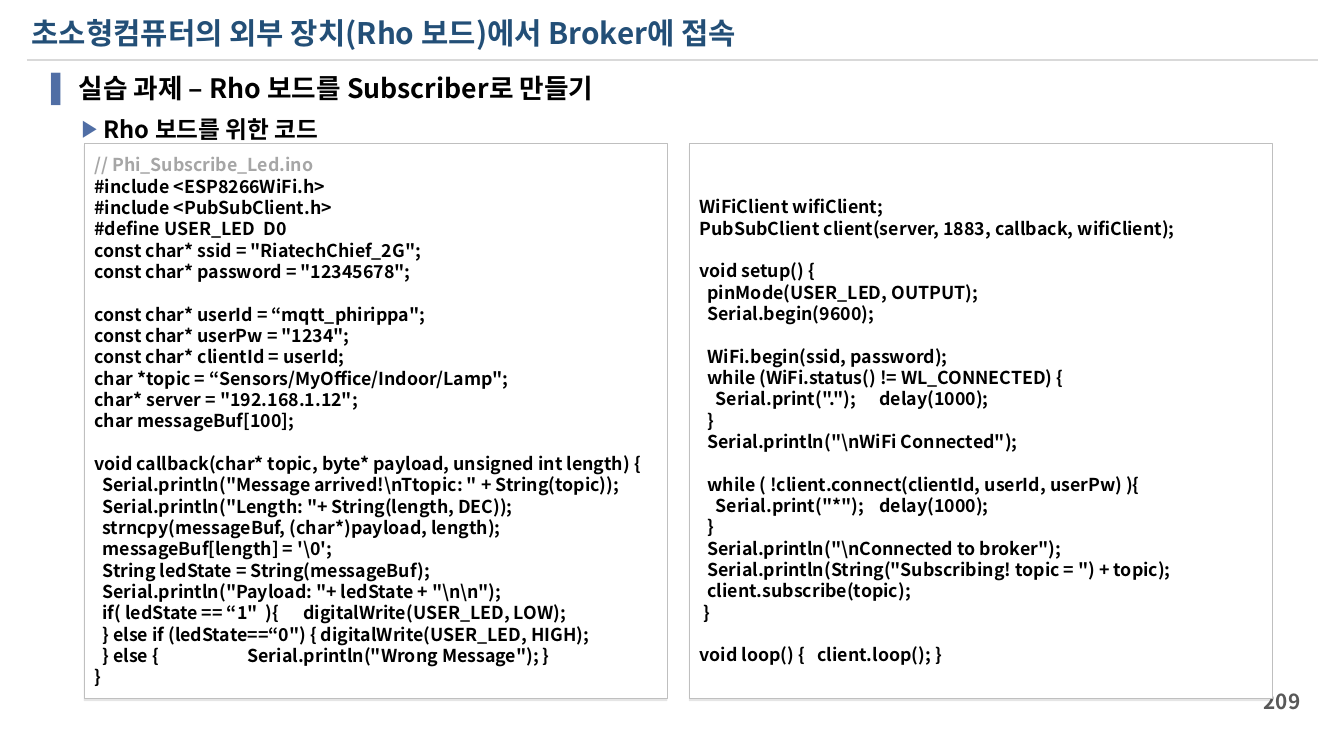
"""Builds the slide on connecting the board to the broker as a subscriber."""
import lxml.etree
import pptx
import pptx.dml.color
import pptx.enum.shapes
import pptx.enum.text
import pptx.oxml.ns
import pptx.util

SCALE = 8572.5
FONT = "Noto Sans CJK KR"
LEAD = 1.2
COLORS = {
    "title": "234F77",
    "text": "000000",
    "mark": "506EA5",
    "note": "A6A6A6",
    "page": "595959",
    "rule": "D9D9D9",
    "edge": "BFBFBF",
    "panel": "FFFFFF",
}
ALIGN = pptx.enum.text.PP_ALIGN
ANCHOR = pptx.enum.text.MSO_ANCHOR

CONFIG = """// Phi_Subscribe_Led.ino
#include <ESP8266WiFi.h>
#include <PubSubClient.h>
#define USER_LED  D0
const char* ssid = "RiatechChief_2G";
const char* password = "12345678";

const char* userId = “mqtt_phirippa";
const char* userPw = "1234";
const char* clientId = userId;
char *topic = “Sensors/MyOffice/Indoor/Lamp";
char* server = "192.168.1.12";
char messageBuf[100];"""

ANSWER = """void callback(char* topic, byte* payload, unsigned int length) {
  Serial.println("Message arrived!\\nTtopic: " + String(topic));
  Serial.println("Length: "+ String(length, DEC));
  strncpy(messageBuf, (char*)payload, length);
  messageBuf[length] = '\\0';
  String ledState = String(messageBuf);
  Serial.println("Payload: "+ ledState + "\\n\\n");
  if( ledState == “1"  ){\tdigitalWrite(USER_LED, LOW);
  } else if (ledState==“0") { digitalWrite(USER_LED, HIGH);
  } else {\tSerial.println("Wrong Message"); }
}"""

CLIENT = """WiFiClient wifiClient;
PubSubClient client(server, 1883, callback, wifiClient);"""

SETUP = """void setup() {
  pinMode(USER_LED, OUTPUT);
  Serial.begin(9600);

  WiFi.begin(ssid, password);
  while (WiFi.status() != WL_CONNECTED) {
    Serial.print(".");\tdelay(1000);
  }
  Serial.println("\\nWiFi Connected");

  while ( !client.connect(clientId, userId, userPw) ){
    Serial.print("*");\tdelay(1000);
  }
  Serial.println("\\nConnected to broker");
  Serial.println(String("Subscribing! topic = ") + topic);
  client.subscribe(topic);
 }"""

LOOP = "void loop() {\tclient.loop(); }"


def px(num):
    """Turn px into EMU."""
    return pptx.util.Emu(round(num * SCALE))


def rgb(key):
    """Give the named colour."""
    return pptx.dml.color.RGBColor.from_string(COLORS[key])


def put(item, vals):
    """Set each attribute in vals on item."""
    for key, val in vals.items():
        setattr(item, key, val)


def place(shape, left, top, width, height):
    """Move and size a shape."""
    spot = {"left": left, "top": top, "width": width, "height": height}
    put(shape, {key: px(val) for key, val in spot.items()})


def node(base, tag, **attrs):
    """Add a drawing element with its attributes."""
    name = pptx.oxml.ns.qn("a:" + tag)
    return lxml.etree.SubElement(base, name, {k: str(v) for k, v in attrs.items()})


def frame(shape, **vals):
    """Set up the text frame of a shape and return it."""
    text = shape.text_frame
    put(text, {
        "word_wrap": True,
        "auto_size": pptx.enum.text.MSO_AUTO_SIZE.NONE,
        "vertical_anchor": ANCHOR.TOP,
        **vals,
    })
    return text


def write(para, words, size, color="text", gap=0, align=ALIGN.LEFT):
    """Fill a paragraph with one bold run."""
    put(para, {
        "alignment": align,
        "line_spacing": pptx.util.Pt(size * LEAD),
        "space_before": pptx.util.Pt(gap),
        "space_after": pptx.util.Pt(0),
    })
    run = para.add_run()
    run.text = words
    put(run.font, {"size": pptx.util.Pt(size), "name": FONT, "bold": True})
    run.font.color.rgb = rgb(color)
    node(run.font._element, "ea", typeface=FONT)


def bullet(para, sign, left, hang):
    """Give a paragraph a coloured bullet and a hanging indent."""
    props = para._p.get_or_add_pPr()
    props.set("marL", str(px(left)))
    props.set("indent", str(px(-hang)))
    node(node(props, "buClr"), "srgbClr", val=COLORS["mark"])
    node(props, "buChar", char=sign)


def tabs(para, stops):
    """Add left tab stops to a paragraph."""
    base = node(para._p.get_or_add_pPr(), "tabLst")
    for stop in stops:
        node(base, "tab", pos=px(stop), algn="l")


def rule(slide, left, right, top):
    """Draw the line under the title."""
    kind = pptx.enum.shapes.MSO_CONNECTOR.STRAIGHT
    line = slide.shapes.add_connector(kind, px(left), px(top), px(right), px(top))
    line.line.width = pptx.util.Pt(1.5)
    line.line.color.rgb = rgb("rule")
    node(line._element.spPr, "effectLst")


def shade(shape):
    """Add a faint shadow below a shape."""
    shape.shadow.inherit = False
    base = shape._element.spPr.find(pptx.oxml.ns.qn("a:effectLst"))
    drop = node(base, "outerShdw", blurRad=0, dist=pptx.util.Pt(2),
                dir=90 * 60000, algn="t", rotWithShape=0)
    node(node(drop, "srgbClr", val=COLORS["text"]), "alpha", val=10000)


def panel(slide, left, parts, inset, stops):
    """Draw a framed code listing."""
    kind = pptx.enum.shapes.MSO_SHAPE.ROUNDED_RECTANGLE
    shape = slide.shapes.add_shape(kind, 0, 0, 0, 0)
    place(shape, left, 143, 583, 555)
    shape.adjustments[0] = 0
    shape.fill.solid()
    shape.fill.fore_color.rgb = rgb("panel")
    shape.line.color.rgb = rgb("edge")
    shape.line.width = pptx.util.Pt(0.25)
    shade(shape)
    text = frame(shape, margin_top=px(inset))
    size, gap, para = 12, 0, text.paragraphs[0]
    for num, line in enumerate("\n\n".join(parts).split("\n")):
        if not line:
            gap = size * LEAD
            continue
        if num:
            para = text.add_paragraph()
        if "\t" in line:
            tabs(para, stops)
        write(para, line, size, "note" if line.startswith("//") else "text", gap)
        gap = 0


def main():
    """Build and save the slide."""
    deck = pptx.Presentation()
    put(deck, {"slide_width": px(1344), "slide_height": px(756)})
    slide = deck.slides.add_slide(deck.slide_layouts[1])
    title, body = slide.placeholders
    rule(slide, 27, 1318, 60)

    place(title, 21, 10, 1265, 47)
    write(frame(title).paragraphs[0], "초소형컴퓨터의 외부 장치(Rho 보드)에서 Broker에 접속", 20, "title")

    place(body, 31, 67, 1305, 204)
    text = frame(body)
    task, part = text.paragraphs[0], text.add_paragraph()
    part.level = 1
    bullet(task, "▐", 37, 37)
    bullet(part, "▶", 62, 22)
    write(task, "실습 과제 – Rho 보드를 Subscriber로 만들기", 18)
    write(part, "Rho 보드를 위한 코드", 16, gap=7)

    page = slide.shapes.add_textbox(0, 0, 0, 0)
    place(page, 1211, 681, 100, 41)
    text = frame(page, vertical_anchor=ANCHOR.MIDDLE)
    write(text.paragraphs[0], "209", 14, "page", align=ALIGN.RIGHT)

    panel(slide, 84, (CONFIG, ANSWER), 11, (153, 209))
    panel(slide, 689, (CLIENT, SETUP, LOOP), 53, (118, 180))
    deck.save("out.pptx")


if __name__ == "__main__":
    main()
